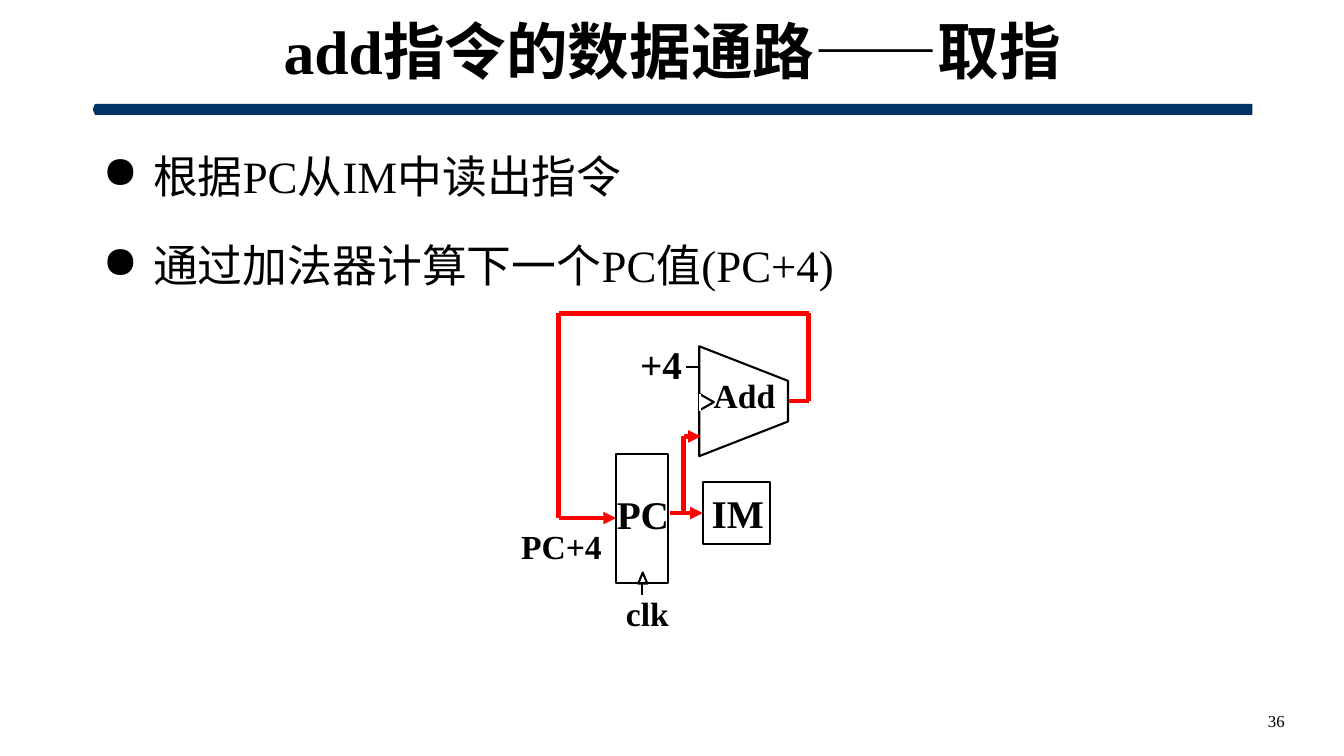
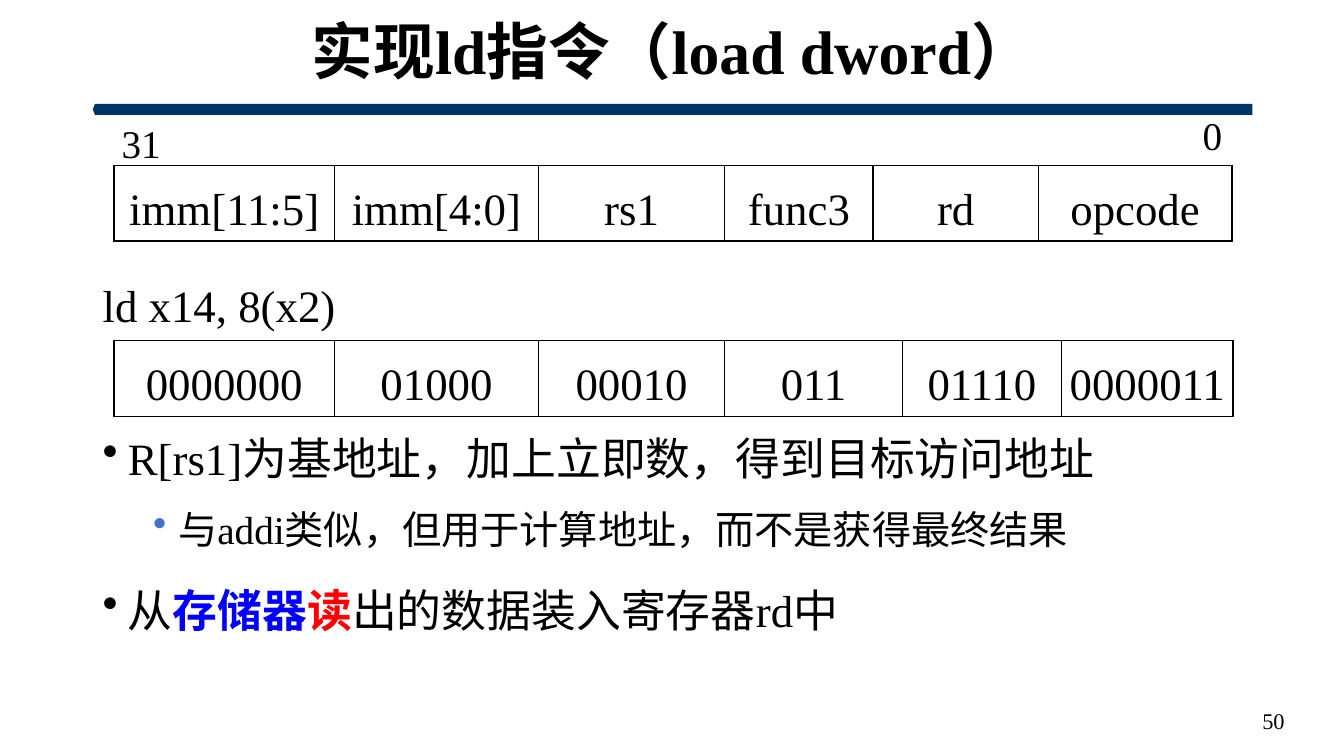
from dataclasses import dataclass

from lxml import etree
from pptx import Presentation
from pptx.dml.color import RGBColor
from pptx.enum.shapes import MSO_CONNECTOR, MSO_SHAPE
from pptx.enum.text import MSO_ANCHOR, PP_ALIGN
from pptx.oxml.ns import qn
from pptx.util import Inches, Pt

LEFT, CENTER, RIGHT = PP_ALIGN.LEFT, PP_ALIGN.CENTER, PP_ALIGN.RIGHT
TOP, MIDDLE = MSO_ANCHOR.TOP, MSO_ANCHOR.MIDDLE
BAND, RECT = MSO_SHAPE.PENTAGON, MSO_SHAPE.RECTANGLE
TRAP, TRI = MSO_SHAPE.TRAPEZOID, MSO_SHAPE.ISOSCELES_TRIANGLE
STRAIGHT = MSO_CONNECTOR.STRAIGHT


@dataclass(frozen=True)
class Theme:
    font: str = "Times New Roman"
    black: str = "000000"
    white: str = "FFFFFF"
    navy: str = "003366"
    red: str = "FF0000"
    blue: str = "0000FF"
    dot: str = "4472C4"
    title: int = 44
    body: int = 32
    sub: int = 28
    label: int = 24


theme = Theme()


def text(page, box, words, size, bold=False, align=LEFT, anchor=TOP,
         space=1.0, wrap=True):
    frame = page.shapes.add_textbox(*map(Inches, box)).text_frame
    frame.word_wrap = wrap
    frame.vertical_anchor = anchor
    para = frame.paragraphs[0]
    para.text = words
    para.alignment = align
    para.line_spacing = space
    para.font.name, para.font.size, para.font.bold = theme.font, Pt(size), bold
    para.font.color.rgb = RGBColor.from_string(theme.black)


def wire(page, start, end, color, width, arrow=False):
    line = page.shapes.add_connector(STRAIGHT, *map(Inches, start + end))
    line.line.color.rgb = RGBColor.from_string(color)
    line.line.width = Pt(width)
    if arrow:
        etree.SubElement(line.line._get_or_add_ln(), qn("a:tailEnd"), type="triangle")
    etree.SubElement(line._element.spPr, qn("a:effectLst"))
    return line


deck = Presentation()
deck.slide_width, deck.slide_height = Inches(13.33), Inches(7.5)

# Title, band and page number
pages = []
for title, number, size in [("add指令的数据通路——取指", "36", 12),
                            ("实现ld指令（load dword）", "50", 16)]:
    page = deck.slides.add_slide(deck.slide_layouts[6])
    band = page.shapes.add_shape(BAND, *map(Inches, (0.92, 1.03, 11.5, 0.11)))
    band.adjustments[0] = 0.2
    band.rotation = 180
    band.shadow.inherit = False
    band.fill.solid()
    band.fill.fore_color.rgb = RGBColor.from_string(theme.navy)
    band.line.fill.background()
    text(page, (0.92, 0.13, 11.5, 0.82), title, theme.title, True, CENTER, MIDDLE, 0.9)
    text(page, (9.84, 6.95, 3, 0.4), number, size, False, RIGHT, MIDDLE)
    pages.append(page)
fetch, load = pages

# Bullet lists: mark, mark colour, indent, hang, space before, size, runs
big = ("●", theme.black, 0.5, 0.5, 10, theme.body)
main = ("•", theme.black, 0.25, 0.25, 10, theme.body)
sub = ("•", theme.dot, 0.75, 0.25, 5, theme.sub)
lists = [
    (fetch, (0.92, 1.21, 11.5, 1.9), 1.4, [
        (big, [("根据PC从IM中读出指令", None)]),
        (big, [("通过加法器计算下一个PC值(PC+4)", None)])]),
    (load, (0.92, 4.06, 11.5, 2.7), 1.3, [
        (main, [("R[rs1]为基地址，加上立即数，得到目标访问地址", None)]),
        (sub, [("与addi类似，但用于计算地址，而不是获得最终结果", None)]),
        (main, [("从", None), ("存储器", theme.blue), ("读", theme.red),
                ("出的数据装入寄存器rd中", None)])]),
]
for page, box, space, items in lists:
    frame = page.shapes.add_textbox(*map(Inches, box)).text_frame
    frame.word_wrap = True
    for i, (style, runs) in enumerate(items):
        mark, tint, indent, hang, before, size = style
        para = frame.add_paragraph() if i else frame.paragraphs[0]
        para.line_spacing = space
        para.space_before = Pt(before if i else 0)
        props = para._p.get_or_add_pPr()
        props.set("marL", str(Inches(indent)))
        props.set("indent", str(-Inches(hang)))
        color = etree.SubElement(props, qn("a:buClr"))
        etree.SubElement(color, qn("a:srgbClr"), val=tint)
        etree.SubElement(props, qn("a:buChar"), char=mark)
        para.font.name, para.font.size = theme.font, Pt(size)
        para.font.color.rgb = RGBColor.from_string(theme.black)
        for words, accent in runs:
            run = para.add_run()
            run.text = words
            if accent:
                run.font.bold = True
                run.font.color.rgb = RGBColor.from_string(accent)

# Datapath blocks: kind, box, rotation, fill, line width
parts = []
for kind, box, turn, fill, width in [
        (RECT, (6.97, 4.78, 0.67, 0.62), 0, None, 1.5),
        (RECT, (6.11, 4.5, 0.52, 1.28), 0, theme.white, 1.5),
        (TRI, (6.33, 5.68, 0.09, 0.11), 0, None, 1.5),
        (TRAP, (6.83, 3.54, 1.09, 0.88), 90, None, 1.5),
        (TRI, (6.93, 3.92, 0.16, 0.14), 90, theme.white, 1.5)]:
    part = fetch.shapes.add_shape(kind, *map(Inches, box))
    part.rotation = turn
    part.shadow.inherit = False
    if fill:
        part.fill.solid()
        part.fill.fore_color.rgb = RGBColor.from_string(fill)
    else:
        part.fill.background()
    part.line.color.rgb = RGBColor.from_string(theme.black)
    part.line.width = Pt(width)
    if kind == TRAP:
        part.adjustments[0] = 0.39
    parts.append(part)
memory, counter = parts[:2]

# Thin wires: adder notch, constant input, clock
wire(fetch, (6.94, 3.91), (6.94, 4.08), theme.white, 1.5)
wire(fetch, (6.94, 3.64), (6.8, 3.64), theme.black, 1.5)
clock = wire(fetch, (6.37, 5.78), (6.37, 5.9), theme.black, 1.5)
clock.begin_connect(counter, 2)

# Datapath labels
for words, box, size in [
        ("IM", (6.96, 4.81, 0.75, 0.57), theme.sub),
        ("PC", (6.02, 4.82, 0.73, 0.57), theme.sub),
        ("clk", (6.11, 5.83, 0.7, 0.5), theme.label),
        ("Add", (6.98, 3.67, 0.81, 0.5), theme.label),
        ("+4", (6.25, 3.33, 0.62, 0.57), theme.sub),
        ("PC+4", (5.07, 5.17, 1, 0.5), theme.label)]:
    text(fetch, box, words, size, True, wrap=False)

# Active path: each route ends in an arrow
for route, target in [
        ([(6.65, 5.09), (6.97, 5.09)], memory),
        ([(6.78, 5.09), (6.78, 4.33), (6.95, 4.33)], None),
        ([(7.83, 3.98), (8.02, 3.98), (8.02, 3.11), (5.54, 3.11),
          (5.54, 5.14), (6.11, 5.14)], counter)]:
    for start, end in zip(route, route[1:]):
        last = wire(fetch, start, end, theme.red, 3, end == route[-1])
    if target:
        last.end_connect(target, 1)

# Bit numbers and the sample instruction
text(load, (1.05, 1.13, 0.7, 0.73), "31", theme.sub, align=CENTER)
text(load, (11.83, 1.06, 0.46, 0.73), "0", theme.sub)
text(load, (0.92, 2.65, 11.5, 0.66), "ld x14, 8(x2)", theme.body, space=1.1)

# Instruction formats
for top, widths, fields in [
        (1.64, (2.19, 2.02, 1.85, 1.47, 1.64, 1.92),
         ("imm[11:5]", "imm[4:0]", "rs1", "func3", "rd", "opcode")),
        (3.38, (2.19, 2.02, 1.85, 1.76, 1.58, 1.7),
         ("0000000", "01000", "00010", "011", "01110", "0000011"))]:
    box = map(Inches, (1.13, top, sum(widths), 0.75))
    table = load.shapes.add_table(1, len(fields), *box).table
    table.first_row = table.horz_banding = False
    for i, (width, field) in enumerate(zip(widths, fields)):
        table.columns[i].width = Inches(width)
        cell = table.cell(0, i)
        cell.margin_left = cell.margin_right = 0
        cell.margin_top = cell.margin_bottom = 0
        cell.fill.solid()
        cell.fill.fore_color.rgb = RGBColor.from_string(theme.white)
        props = cell._tc.get_or_add_tcPr()
        for n, side in enumerate(("lnL", "lnR", "lnT", "lnB")):
            edge = etree.Element(qn("a:" + side), w=str(Pt(1)))
            fill = etree.SubElement(edge, qn("a:solidFill"))
            etree.SubElement(fill, qn("a:srgbClr"), val=theme.black)
            props.insert(n, edge)
        para = cell.text_frame.paragraphs[0]
        para.text = field
        para.alignment = CENTER
        para.line_spacing = 1.4
        para.font.name, para.font.size = theme.font, Pt(theme.body)
        para.font.color.rgb = RGBColor.from_string(theme.black)

deck.save("out.pptx")
